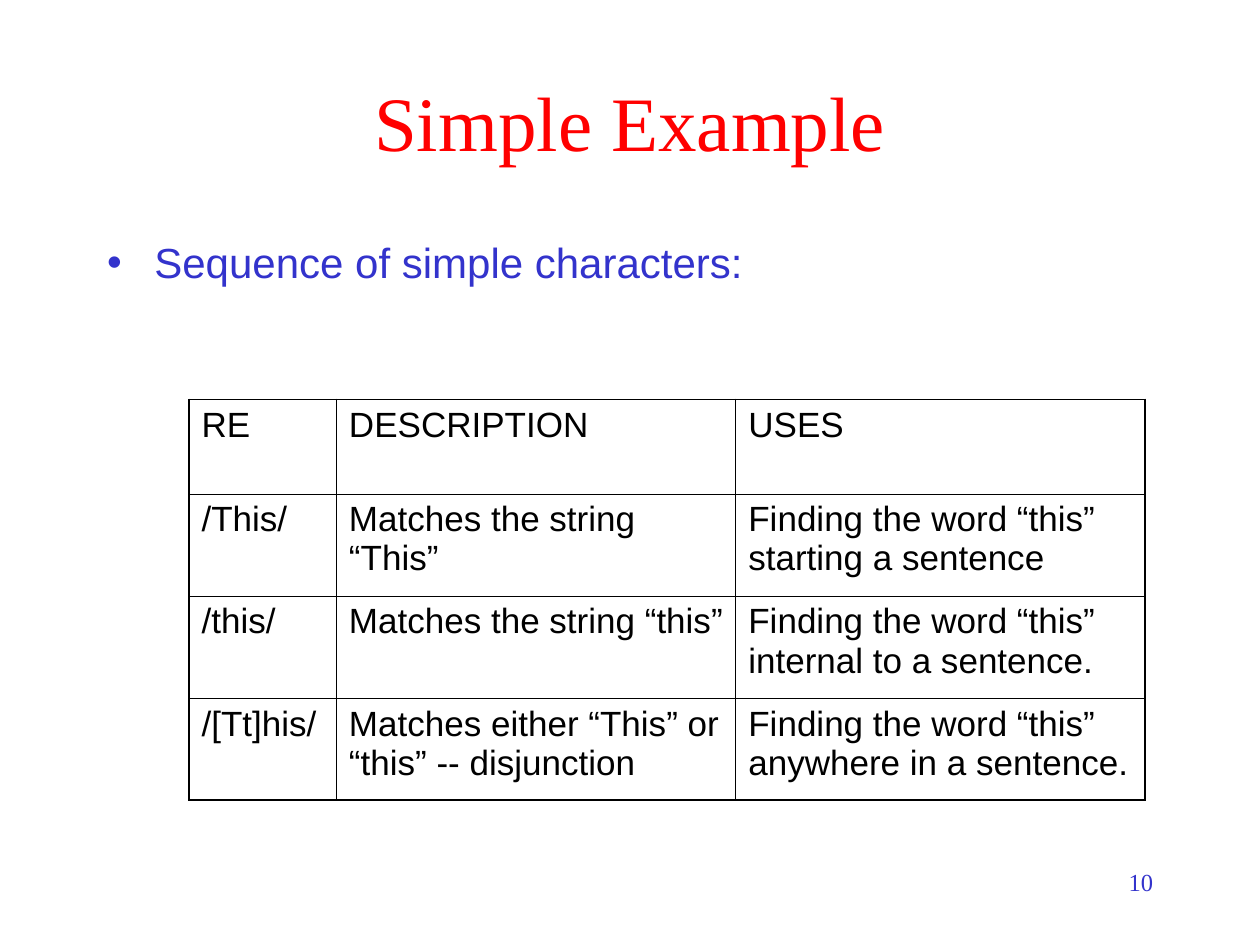
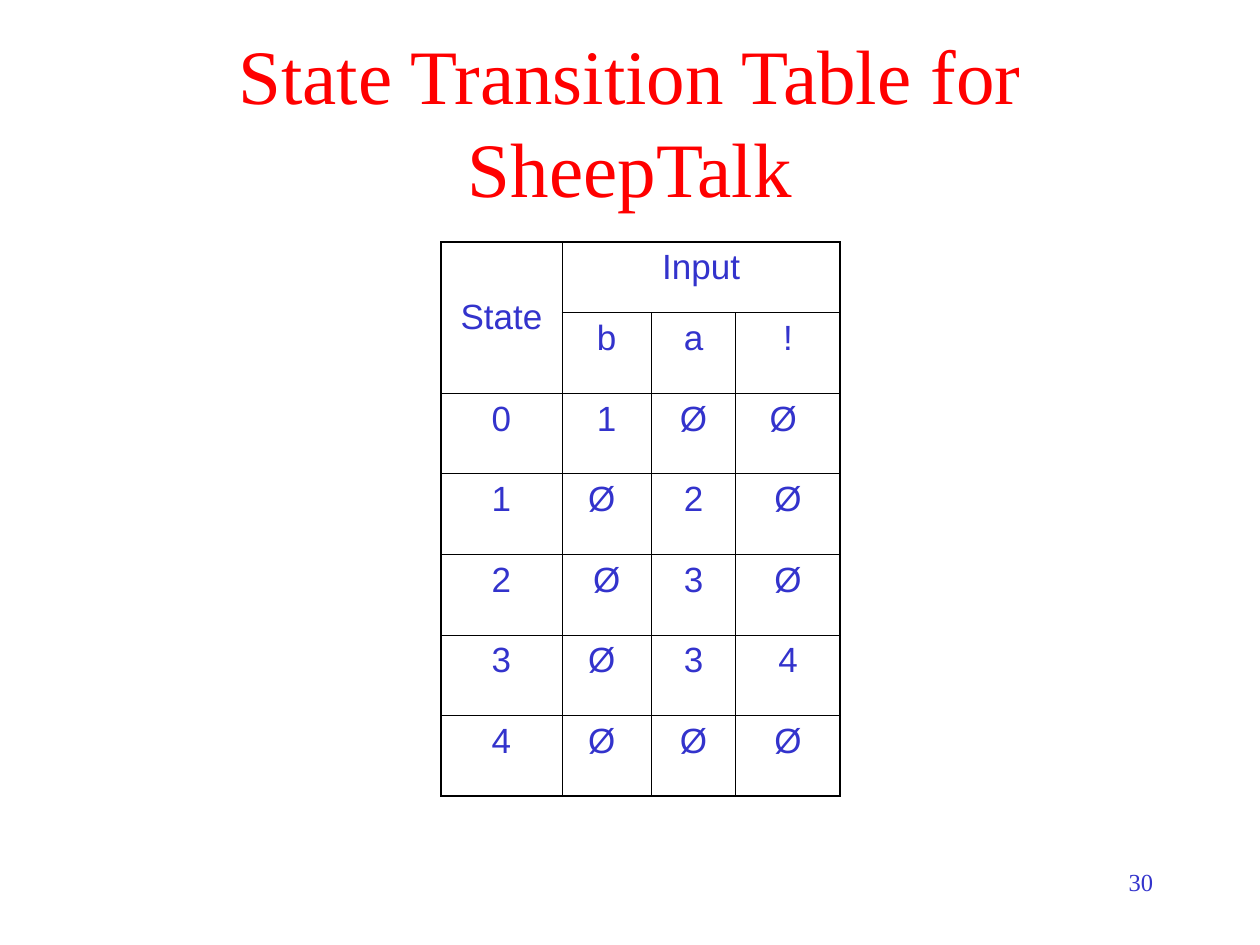
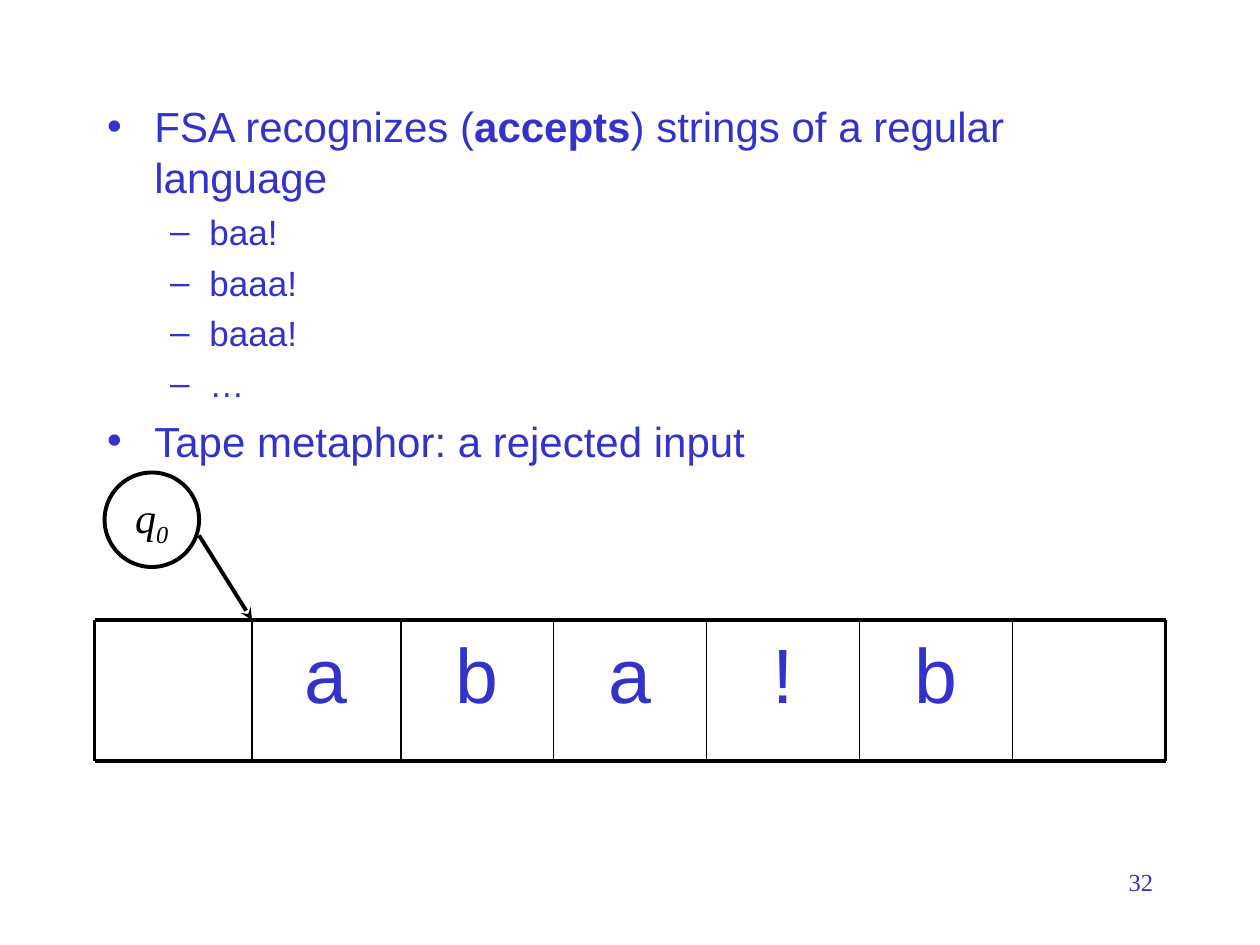
from dataclasses import dataclass

from lxml import etree
from pptx import Presentation
from pptx import util as u
from pptx.dml.color import RGBColor
from pptx.enum import shapes, text
from pptx.oxml import ns

Inches, Pt = u.Inches, u.Pt
CENTER, LEFT, RIGHT = text.PP_ALIGN.CENTER, text.PP_ALIGN.LEFT, text.PP_ALIGN.RIGHT


@dataclass(frozen=True)
class Theme:
    serif: str = "Times New Roman"
    sans: str = "Arial"
    title_color: str = "FF0000"
    text_color: str = "3333CC"
    ink: str = "000000"
    paper: str = "FFFFFF"
    title_size: int = 44
    list_sizes: tuple = (24, 20)
    list_gaps: tuple = (6, 5)
    table_size: int = 20
    table_gap: int = 5
    tape_size: int = 44
    tape_gap: int = 11
    number_size: int = 14
    table_frame: float = 1.08
    table_rule: float = 0.45
    heavy: float = 2.25
    thin: float = 1


THEME = Theme()
TITLE_BOX = (0.75, 0.33, 8.5, 1.25)
NUMBER_BOX = (7.17, 6.83, 2.08, 0.5)

# List items are (level, [(words, bold), ...]).
SIMPLE_LIST = [(0, [("Sequence of simple characters:", False)])]
SIMPLE_TABLE = [
    ["RE", "DESCRIPTION", "USES"],
    ["/This/", "Matches the string “This”", "Finding the word “this” starting a sentence"],
    ["/this/", "Matches the string “this”", "Finding the word “this” internal to a sentence."],
    ["/[Tt]his/", "Matches either “This” or “this” -- disjunction",
     "Finding the word “this” anywhere in a sentence."],
]
STATE_TABLE = [
    ["State", "Input", None, None],
    [None, "b", "a", "!"],
    ["0", "1", "Ø", "Ø "],
    ["1", "Ø ", "2", "Ø"],
    ["2", "Ø", "3", "Ø"],
    ["3", "Ø ", "3", "4"],
    ["4", "Ø ", "Ø", "Ø"],
]
STATE_SPANS = [((0, 0), (1, 0)), ((0, 1), (0, 3))]
FSA_LIST = [
    (0, [("FSA recognizes (", False), ("accepts", True),
         (") strings of a regular language", False)]),
    *[(1, [(word, False)]) for word in ("baa!", "baaa!", "baaa!", "…")],
    (0, [("Tape metaphor: a rejected input", False)]),
]
TAPE = ["", "a", "b", "a", "!", "b", ""]


def rgb(color):
    return RGBColor.from_string(color)


def inches(values):
    return [Inches(value) for value in values]


def place(shape, box):
    shape.left, shape.top, shape.width, shape.height = inches(box)


def style(para, size, face, color, align=None, gap=None):
    para.font.size, para.font.name = Pt(size), face
    para.font.color.rgb = rgb(color)
    para.alignment = align
    if gap is not None:
        para.space_before = Pt(gap)


def add_text(page, box, words, *look):
    frame = page.shapes.add_textbox(*inches(box)).text_frame
    frame.word_wrap = True
    frame.text = words
    style(frame.paragraphs[0], *look)


def add_page(deck, number, title=None, items=None, body_box=None):
    """Add a slide with its number, and a title and a list where given."""
    page = deck.slides.add_slide(deck.slide_layouts[1 if items else 5])
    add_text(page, NUMBER_BOX, str(number), THEME.number_size, THEME.serif,
             THEME.text_color, RIGHT)
    heading = page.shapes.title
    if title:
        place(heading, TITLE_BOX)
        frame = heading.text_frame
        frame.text = title
        frame.auto_size = text.MSO_AUTO_SIZE.NONE
        frame.vertical_anchor = text.MSO_ANCHOR.MIDDLE
        style(frame.paragraphs[0], THEME.title_size, THEME.serif, THEME.title_color, CENTER)
    else:
        heading.element.getparent().remove(heading.element)
    if items:
        fill_list(page.placeholders[1], body_box, items)
    return page


def fill_list(body, box, items):
    place(body, box)
    frame = body.text_frame
    frame.auto_size = text.MSO_AUTO_SIZE.NONE
    for index, (level, spans) in enumerate(items):
        para = frame.add_paragraph() if index else frame.paragraphs[0]
        para.level = level
        style(para, THEME.list_sizes[level], THEME.sans, THEME.text_color,
              gap=THEME.list_gaps[level])
        for words, bold in spans:
            span = para.add_run()
            span.text = words
            if bold:
                span.font.bold = True


def set_borders(cell, heavy_sides):
    props = cell._tc.get_or_add_tcPr()
    for side in "LRTB":
        width = THEME.table_frame if side in heavy_sides else THEME.table_rule
        line = etree.SubElement(props, ns.qn(f"a:ln{side}"), w=str(Pt(width)))
        fill = etree.SubElement(line, ns.qn("a:solidFill"))
        etree.SubElement(fill, ns.qn("a:srgbClr"), val=THEME.ink)


def add_grid(page, corner, widths, heights, rows, color, align, spans=()):
    """Add a table with a heavy frame and thin inner rules."""
    box = (*corner, sum(widths), sum(heights))
    table = page.shapes.add_table(len(rows), len(widths), *inches(box)).table
    table.first_row = table.horz_banding = False
    for column, width in zip(table.columns, widths):
        column.width = Inches(width)
    for row, height in zip(table.rows, heights):
        row.height = Inches(height)
    for first, last in spans:
        table.cell(*first).merge(table.cell(*last))
    for r, row in enumerate(rows):
        for c, words in enumerate(row):
            cell = table.cell(r, c)
            if cell.is_spanned:
                continue
            at_edge = {"L": c == 0, "T": r == 0,
                       "R": c + cell.span_width == len(widths),
                       "B": r + cell.span_height == len(rows)}
            set_borders(cell, [side for side, outer in at_edge.items() if outer])
            cell.fill.background()
            cell.text = words
            if cell.span_height > 1:
                cell.vertical_anchor = text.MSO_ANCHOR.MIDDLE
            style(cell.text_frame.paragraphs[0], THEME.table_size, THEME.sans, color,
                  align, THEME.table_gap)


def add_line(page, start, end, width, arrow=False):
    line = page.shapes.add_connector(shapes.MSO_CONNECTOR.STRAIGHT, *inches(start + end))
    line.line.width = Pt(width)
    line.line.color.rgb = rgb(THEME.ink)
    props = line.element.spPr
    if arrow:
        etree.SubElement(props.find(ns.qn("a:ln")), ns.qn("a:tailEnd"), type="stealth")
    etree.SubElement(props, ns.qn("a:effectLst"))


def add_tape(page, symbols):
    top, bottom, start, first_cell, cells_left, end = 4.92, 6.04, 0.75, 2, 3.18, 9.25
    pitch = (end - cells_left) / (len(symbols) - 2)
    edges = [start, first_cell] + [cells_left + pitch * i for i in range(len(symbols) - 1)]
    for symbol, left, right in zip(symbols, edges, edges[1:]):
        if symbol:
            add_text(page, (left, top, right - left, bottom - top), symbol,
                     THEME.tape_size, THEME.sans, THEME.text_color, CENTER, THEME.tape_gap)
    for x in edges[1:-1]:
        add_line(page, (x, top), (x, bottom), THEME.thin)
    for x in (start, end):
        add_line(page, (x, top), (x, bottom), THEME.heavy)
    for y in (top, bottom):
        add_line(page, (start, y), (end, y), THEME.heavy)
    add_line(page, (1.58, 4.25), (first_cell, top), THEME.heavy, arrow=True)


def add_state(page, box, name, index):
    circle = page.shapes.add_shape(shapes.MSO_SHAPE.OVAL, *inches(box))
    circle.shadow.inherit = False
    circle.fill.solid()
    circle.fill.fore_color.rgb = rgb(THEME.paper)
    circle.line.color.rgb = rgb(THEME.ink)
    circle.line.width = Pt(THEME.heavy)
    frame = circle.text_frame
    frame.word_wrap = False
    frame.vertical_anchor = text.MSO_ANCHOR.MIDDLE
    para = frame.paragraphs[0]
    style(para, THEME.list_sizes[0], THEME.serif, THEME.ink, CENTER)
    para.font.italic = True
    for words in (name, index):
        span = para.add_run()
        span.text = words
    span._r.get_or_add_rPr().set("baseline", "-25000")


def main():
    deck = Presentation()
    deck.slide_width, deck.slide_height = Inches(10), Inches(7.5)

    page = add_page(deck, 10, "Simple Example", SIMPLE_LIST, (0.75, 1.83, 8.5, 4.5))
    add_grid(page, (1.5, 3.17), [1.17, 3.17, 3.25], [0.75] + [0.81] * 3,
             SIMPLE_TABLE, THEME.ink, LEFT)

    page = add_page(deck, 30, "State Transition Table for SheepTalk")
    add_grid(page, (3.5, 1.92), [0.96, 0.71, 0.67, 0.83], [0.56] + [0.64] * 6,
             STATE_TABLE, THEME.text_color, CENTER, STATE_SPANS)

    page = add_page(deck, 32, items=FSA_LIST, body_box=(0.75, 0.75, 8.5, 5.92))
    add_tape(page, TAPE)
    add_state(page, (0.83, 3.75, 0.75, 0.75), "q", "0")

    deck.save("out.pptx")


if __name__ == "__main__":
    main()
